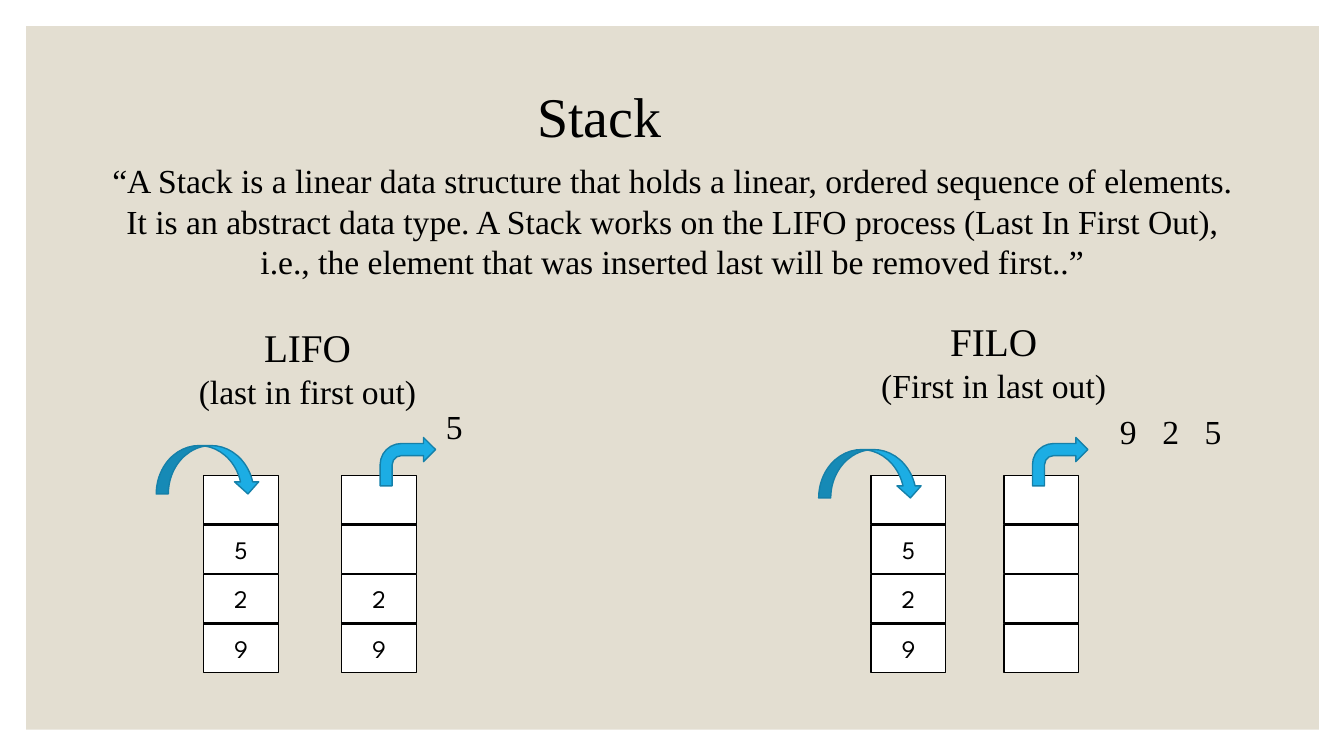
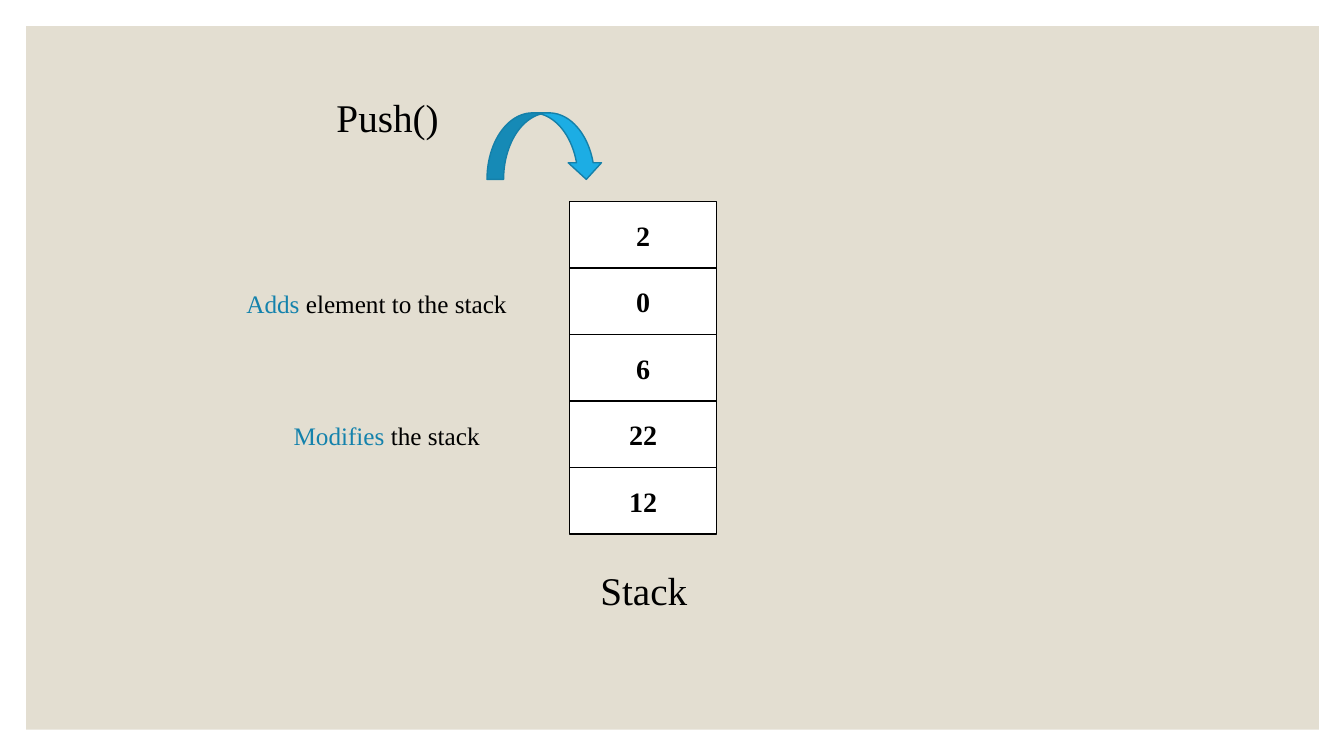
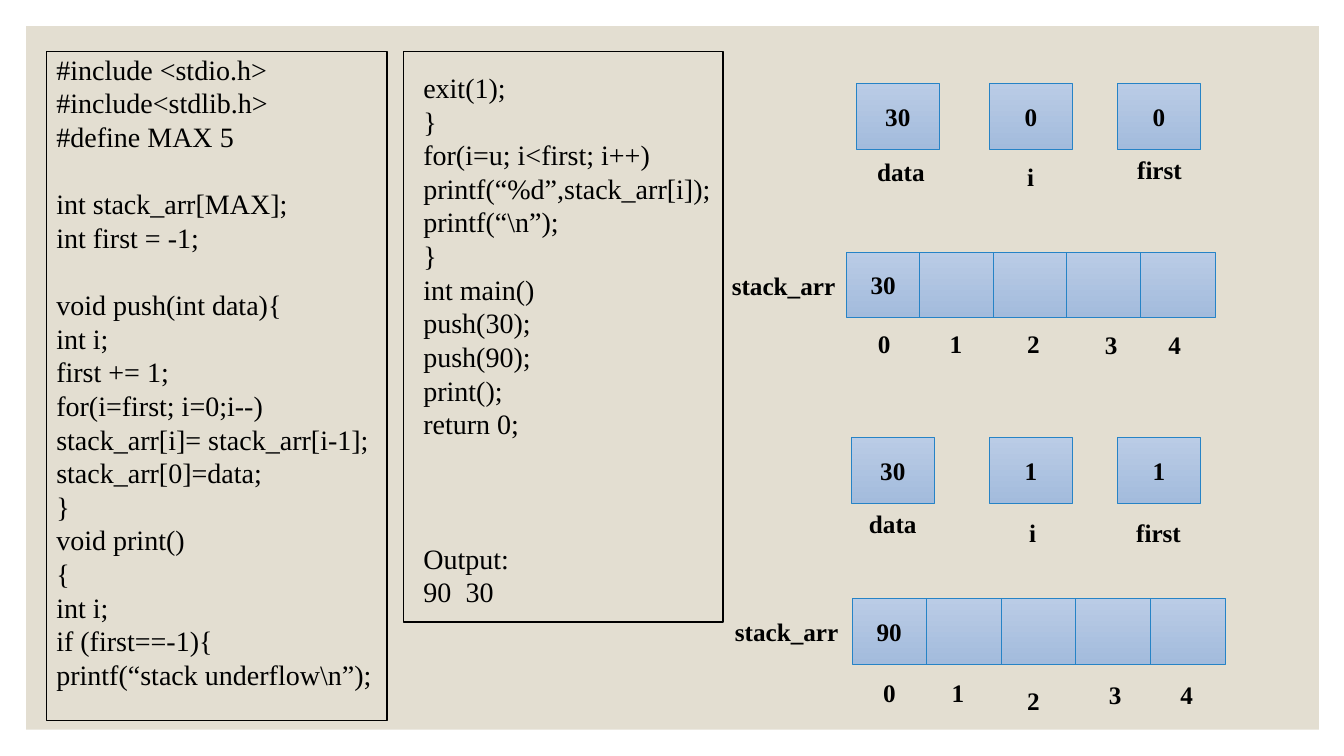
from lxml.etree import SubElement
from pptx import Presentation
from pptx.dml.color import RGBColor
from pptx.enum.shapes import MSO_SHAPE as Kind
from pptx.enum.text import MSO_ANCHOR as Anchor, PP_ALIGN as Align
from pptx.oxml.ns import qn
from pptx.util import Emu, Pt

SCALE = 9144  # EMU in one px, 100 px to the inch
SERIF, SANS = "Times New Roman", "League Spartan"
BLACK, WHITE, SAND = "000000", "FFFFFF", "E3DED1"
SKY, EDGE, TEAL = "1CADE4", "1580A9", "1482AC"
BLUE, SHADE = "2683C6", ("BACCE6", "A3BBDC")
LEAD = 1.2  # line height as a share of the text size
TAB = 42


def px(num):
    return Emu(num * SCALE)


def tint(code):
    return RGBColor.from_string(code)


class Deck:
    """Holds the shared style and the slide being drawn."""

    def __init__(self):
        self.prs = Presentation()
        self.prs.slide_width, self.prs.slide_height = px(1333), px(750)
        self.slide = None

    def page(self, title=False):
        first = self.slide is None
        self.slide = self.prs.slides.add_slide(self.prs.slide_layouts[5 if title else 6])
        if first:
            self.band()

    def band(self):
        """Put the sand panel on the master, behind every slide."""
        panel = self.shape((26, 26, 1282, 698), SAND).element
        panel.nvSpPr.cNvPr.set("id", "90")
        self.prs.slide_master.shapes.element.insert(2, panel)

    def lay(self, frame, lines, size, font=SERIF, bold=False, align=Align.CENTER):
        """A line is a string, or a list of (text, colour, size) runs; "" is a gap."""
        gap, para = 0, None
        for line in lines:
            if not line:
                gap += size * LEAD
                continue
            para = frame.paragraphs[0] if para is None else frame.add_paragraph()
            para.alignment = align
            runs = [(line, BLACK, size)] if isinstance(line, str) else line
            if font == SERIF:
                para.line_spacing = Pt(runs[0][2] * LEAD)
            para.space_before, gap = Pt(gap), 0
            for words, color, high in runs:
                run = para.add_run()
                run.text = words
                run.font.name, run.font.size, run.font.bold = font, Pt(high), bold
                run.font.color.rgb = tint(color)
            if "\t" in para.text:
                self.tabs(para, para.text.count("\t"))

    def tabs(self, para, count):
        stops = SubElement(para._p.get_or_add_pPr(), qn("a:tabLst"))
        for num in range(1, count + 1):
            SubElement(stops, qn("a:tab"), pos=str(px(TAB * num)), algn="l")

    def title(self, box, words, size):
        head = self.slide.shapes.title
        head.left, head.top, head.width, head.height = map(px, box)
        head.text_frame.vertical_anchor = Anchor.TOP
        head.text_frame.word_wrap = False
        self.lay(head.text_frame, [words], size)

    def text(self, box, lines, size, wrap=False, **style):
        frame = self.slide.shapes.add_textbox(*map(px, box)).text_frame
        frame.word_wrap = wrap
        self.lay(frame, lines, size, **style)

    def label(self, x, y, wide, words):
        self.text((x, y, wide, 40), [words], 18, bold=True, align=Align.LEFT)

    def shape(self, box, fill=None, line=None, kind=Kind.RECTANGLE, width=1):
        item = self.slide.shapes.add_shape(kind, *map(px, box))
        item.shadow.inherit = False
        if fill is None:
            item.fill.background()
        elif isinstance(fill, tuple):
            item.fill.gradient()
            item.fill.gradient_angle = 270
            for stop, code in zip(item.fill.gradient_stops, fill):
                stop.color.rgb = tint(code)
        else:
            item.fill.solid()
            item.fill.fore_color.rgb = tint(fill)
        if line is None:
            item.line.fill.background()
        else:
            item.line.color.rgb = tint(line)
            item.line.width = Pt(width)
        return item

    def cell(self, box, words, size, fill=WHITE, line=BLACK, width=1, **style):
        frame = self.shape(box, fill, line, width=width).text_frame
        frame.vertical_anchor = Anchor.MIDDLE
        if words:
            self.lay(frame, [words], size, **style)

    def stack(self, box, step, values, size, **style):
        """Cells from the top down; box is the top one."""
        x, y, wide, high = box
        for row, value in enumerate(values):
            self.cell((x, y + row * step, wide, high), value, size, **style)

    def blue(self, x, y, wide, words):
        self.cell((x, y, wide, 65), words, 18, SHADE, BLUE, 0.5, bold=True)

    def arrow(self, box, kind=Kind.CURVED_DOWN_ARROW):
        self.shape(box, SKY, EDGE, kind)


INTRO = (
    "“A Stack is a linear data structure that holds a linear, ordered sequence of "
    "elements. It is an abstract data type. A Stack works on the LIFO process (Last In "
    "First Out), i.e., the element that was inserted last will be removed first..”"
)

CODE = r"""#include <stdio.h>
#include<stdlib.h>
#define MAX 5

int stack_arr[MAX];
int first = -1;

void push(int data){
int i;
first += 1;
for(i=first; i=0;i--)
stack_arr[i]= stack_arr[i-1];
stack_arr[0]=data;
}
void print()
{
int i;
if (first==-1){
printf(“stack underflow\n”);"""

REST = r"""exit(1);
}
for(i=u; i<first; i++)
printf(“%d”,stack_arr[i]);
printf(“\n”);
}
int main()
push(30);
push(90);
print();
return 0;



Output:
""" + "90\t30"


def order(deck):
    """Slide 1: what a stack is, LIFO and FILO."""
    deck.page(title=True)
    deck.title((522, 76, 145, 77), "Stack", 40)
    deck.text((101, 154, 1132, 172), [INTRO], 24, wrap=True)
    # Cells before and after taking out
    for x, values in ((202, ["", "5", "2", "9"]), (339, ["", "", "2", "9"]),
                      (864, ["", "5", "2", "9"]), (996, [""] * 4)):
        deck.stack((x, 472, 74, 48), 49, values, 18, font=SANS)
    # Arrows in and out
    for x, y in ((155, 442), (812, 446)):
        deck.arrow((x, y, 103, 48))
    for x in (377, 1024):
        deck.arrow((x, 434, 55, 48), Kind.BENT_ARROW)
    deck.text((1101, 403, 121, 50), ["9\t2\t5"], 24, align=Align.LEFT)
    deck.text((432, 398, 37, 50), ["5"], 24)
    # Headings
    for box, name, long in (((186, 316, 238, 98), "LIFO", "(last in first out)"),
                            ((816, 310, 339, 98), "FILO", "(First in last out)")):
        deck.text(box, [[(name, BLACK, 28)], long], 24)


def push(deck):
    """Slide 2: the push operation."""
    deck.page()
    deck.stack((565, 200, 146, 66), 66, ["2", "0", "6", "22", "12"], 20, bold=True)
    deck.arrow((483, 112, 115, 66))
    deck.text((323, 88, 123, 57), ["Push()"], 28)
    deck.text((585, 557, 107, 57), ["Stack"], 28)
    for box, verb, rest in (((233, 281, 281, 40), "Adds", " element to the stack"),
                            ((280, 412, 207, 40), "Modifies ", "the stack")):
        deck.text(box, [[(verb, TEAL, 18), (rest, BLACK, 18)]], 18)


def trace(deck):
    """Slide 3: the program and two states of its memory."""
    deck.page()
    # Code panels
    deck.text((410, 65, 307, 589), REST.split("\n"), 20, align=Align.LEFT)
    frame = deck.shape((46, 51, 338, 664), None, BLACK).text_frame
    frame.vertical_anchor, frame.margin_top = Anchor.TOP, px(1)
    frame.word_wrap = False
    deck.lay(frame, CODE.split("\n"), 20, align=Align.LEFT)
    deck.shape((400, 51, 317, 566), None, BLACK)
    # Variables: value, left, then name with its place
    for y, items in (
        (83, (("30", 849, "data", 860, 150, 68), ("0", 981, "i", 1009, 155, 27),
              ("0", 1108, "first", 1118, 148, 65))),
        (434, (("30", 844, "data", 852, 499, 68), ("1", 981, "i", 1011, 508, 27),
               ("1", 1108, "first", 1117, 508, 65))),
    ):
        for value, x, name, left, top, wide in items:
            deck.blue(x, y, 83, value)
            deck.label(left, top, wide, name)
    # Arrays: first value, corner, step, name place, index places
    for value, x, y, step, name, spots in (
        ("30", 839, 250, 73, (716, 263),
         ((861, 321), (932, 321), (1009, 321), (1086, 322), (1149, 322))),
        ("90", 845, 594, 74, (719, 607),
         ((866, 667), (934, 667), (1009, 675), (1090, 669), (1161, 669))),
    ):
        deck.label(*name, 124, "stack_arr")
        for num, spot in enumerate(spots):
            deck.blue(x + num * step, y, 74, "" if num else value)
            deck.label(*spot, 33, str(num))


def main():
    deck = Deck()
    for draw in (order, push, trace):
        draw(deck)
    deck.prs.save("out.pptx")


if __name__ == "__main__":
    main()
